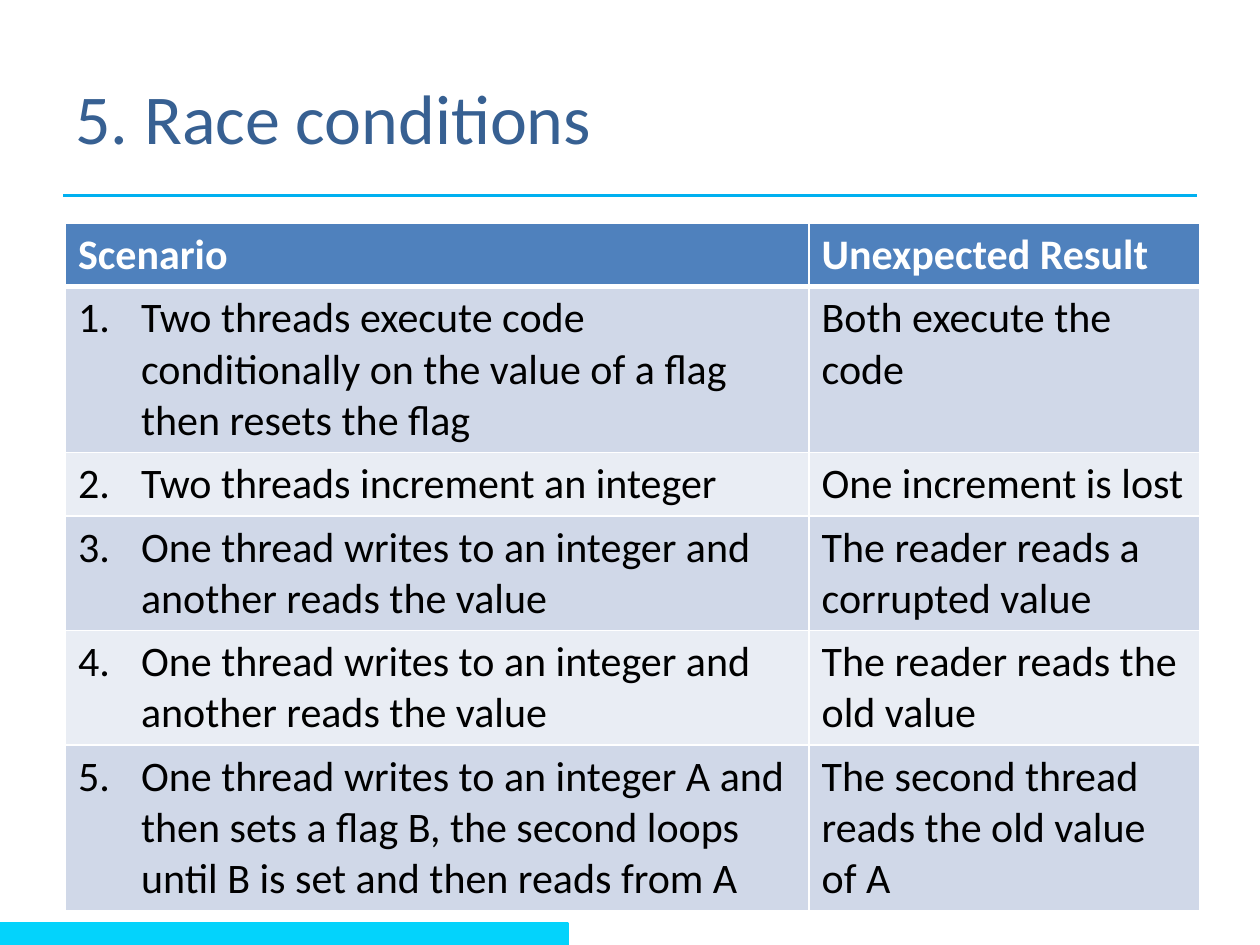
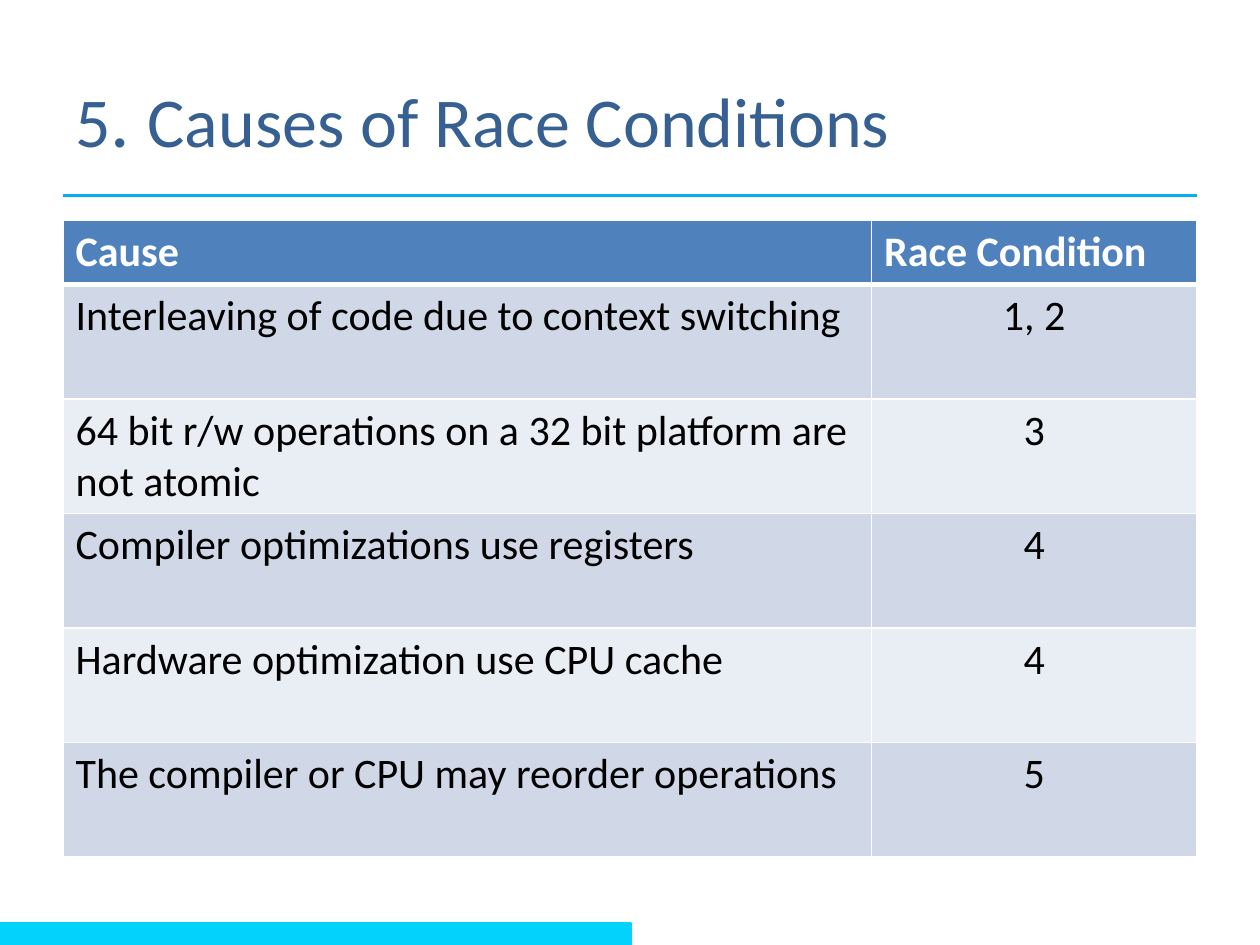
from lxml import etree
from pptx import Presentation
from pptx import util as u
from pptx.dml.color import RGBColor
from pptx.enum import shapes, text
from pptx.oxml.ns import qn

FONT = "Calibri"
TITLE, RULE, PROGRESS = "376092", "00B0F0", "03D3FC"
HEADER, BANDS = "4F81BD", ("D0D8E8", "E9EDF4")
WHITE, BLACK = "FFFFFF", "000000"
SLIDE_WIDTH, SLIDE_HEIGHT = 25.4, 19.05
MARGIN, CONTENT_WIDTH = 1.27, 22.86
CELL_PADDING, LINE_HEIGHT = 0.25, 1.03
BAR_HEIGHT = 0.43


def colour(value):
    return RGBColor.from_string(value)


def lengths(*values):
    return [u.Cm(value) for value in values]


def write(paragraph, content, size=24, ink=BLACK, bold=False,
          align=text.PP_ALIGN.LEFT):
    paragraph.alignment = align
    run = paragraph.add_run()
    run.text = content
    run.font.name = FONT
    run.font.size = u.Pt(size)
    run.font.bold = bold
    run.font.color.rgb = colour(ink)


def number(paragraph, start):
    properties = paragraph._p.get_or_add_pPr()
    properties.set("marL", str(u.Cm(MARGIN)))
    properties.set("indent", str(-u.Cm(MARGIN)))
    etree.SubElement(properties, qn("a:buAutoNum"),
                     type="arabicPeriod", startAt=str(start))


def border(cell, **widths):
    properties = cell._tc.get_or_add_tcPr()
    for position, side in enumerate("LRTB"):
        line = etree.Element(qn(f"a:ln{side}"),
                             w=str(u.Pt(widths.get(side, 1))))
        fill = etree.SubElement(line, qn("a:solidFill"))
        etree.SubElement(fill, qn("a:srgbClr"), val=WHITE)
        properties.insert(position, line)


def add_heading(slide, runs, left, top, width, height):
    box = slide.shapes.add_textbox(*lengths(left, top, width, height))
    frame = box.text_frame
    frame.word_wrap = True
    frame.vertical_anchor = text.MSO_ANCHOR.MIDDLE
    for content, size in runs:
        write(frame.paragraphs[0], content, size=size, ink=TITLE)
    bottom = top + height
    rule = slide.shapes.add_connector(
        shapes.MSO_CONNECTOR.STRAIGHT,
        *lengths(left, bottom, left + width, bottom))
    rule.line.color.rgb = colour(RULE)
    rule.line.width = u.Pt(1.5)
    etree.SubElement(rule._element.spPr, qn("a:effectLst"))


def add_progress(slide, width):
    bar = slide.shapes.add_shape(
        shapes.MSO_SHAPE.RECTANGLE,
        *lengths(0, SLIDE_HEIGHT - BAR_HEIGHT, width, BAR_HEIGHT))
    bar.shadow.inherit = False
    bar.fill.solid()
    bar.fill.fore_color.rgb = colour(PROGRESS)
    bar.line.color.rgb = colour(PROGRESS)
    bar.line.width = u.Pt(2)


def add_grid(slide, rows, line_counts, left, top, width, first_width,
             numbered=False, second_align=text.PP_ALIGN.LEFT):
    heights = [CELL_PADDING + LINE_HEIGHT * count for count in line_counts]
    table = slide.shapes.add_table(
        len(rows), 2, *lengths(left, top, width, sum(heights))).table
    table.horz_banding = False
    for column, size in zip(table.columns, (first_width, width - first_width)):
        column.width = u.Cm(size)
    for index, (row, height) in enumerate(zip(rows, heights)):
        table.rows[index].height = u.Cm(height)
        header = index == 0
        for side, content in enumerate(row):
            cell = table.cell(index, side)
            border(cell, T=3 if index == 1 else 1, B=3 if header else 1)
            cell.fill.solid()
            cell.fill.fore_color.rgb = colour(
                HEADER if header else BANDS[(index - 1) % 2])
            paragraph = cell.text_frame.paragraphs[0]
            centred = side == 1 and not header
            write(paragraph, content, ink=WHITE if header else BLACK,
                  bold=header,
                  align=second_align if centred else text.PP_ALIGN.LEFT)
            if numbered and side == 0 and not header:
                number(paragraph, index)


def add_table_slide(presentation, title, progress, rows, line_counts,
                    left, top, first_width, **options):
    slide = presentation.slides.add_slide(presentation.slide_layouts[6])
    add_heading(slide, title, MARGIN, 0.76, CONTENT_WIDTH, 3.18)
    add_grid(slide, rows, line_counts, left, top, CONTENT_WIDTH,
             first_width, **options)
    add_progress(slide, progress)


SCENARIOS = [
    ("Scenario", "Unexpected Result"),
    ("Two threads execute code conditionally on the value of a flag "
     "then resets the flag", "Both execute the code"),
    ("Two threads increment an integer", "One increment is lost"),
    ("One thread writes to an integer and another reads the value",
     "The reader reads a corrupted value"),
    ("One thread writes to an integer and another reads the value",
     "The reader reads the old value"),
    ("One thread writes to an integer A and then sets a flag B, the second "
     "loops until B is set and then reads from A",
     "The second thread reads the old value of A"),
]
CAUSES = [
    ("Cause", "Race Condition"),
    ("Interleaving of code due to context switching", "1, 2"),
    ("64 bit r/w operations on a 32 bit platform are not atomic", "3"),
    ("Compiler optimizations use registers", "4"),
    ("Hardware optimization use CPU cache", "4"),
    ("The compiler or CPU may reorder operations", "5"),
]

presentation = Presentation()
presentation.slide_width, presentation.slide_height = lengths(
    SLIDE_WIDTH, SLIDE_HEIGHT)
add_table_slide(presentation, [("5. Race conditions", 40)], 11.43,
                SCENARIOS, (1, 3, 1, 2, 2, 3), 1.32, 4.5, 14.99,
                numbered=True)
add_table_slide(presentation,
                [("5", 40), (". ", 44), ("Causes of Race Conditions", 40)],
                12.7, CAUSES, (1, 2, 2, 2, 2, 2), MARGIN, 4.45, 16.3,
                second_align=text.PP_ALIGN.CENTER)
presentation.save("out.pptx")
